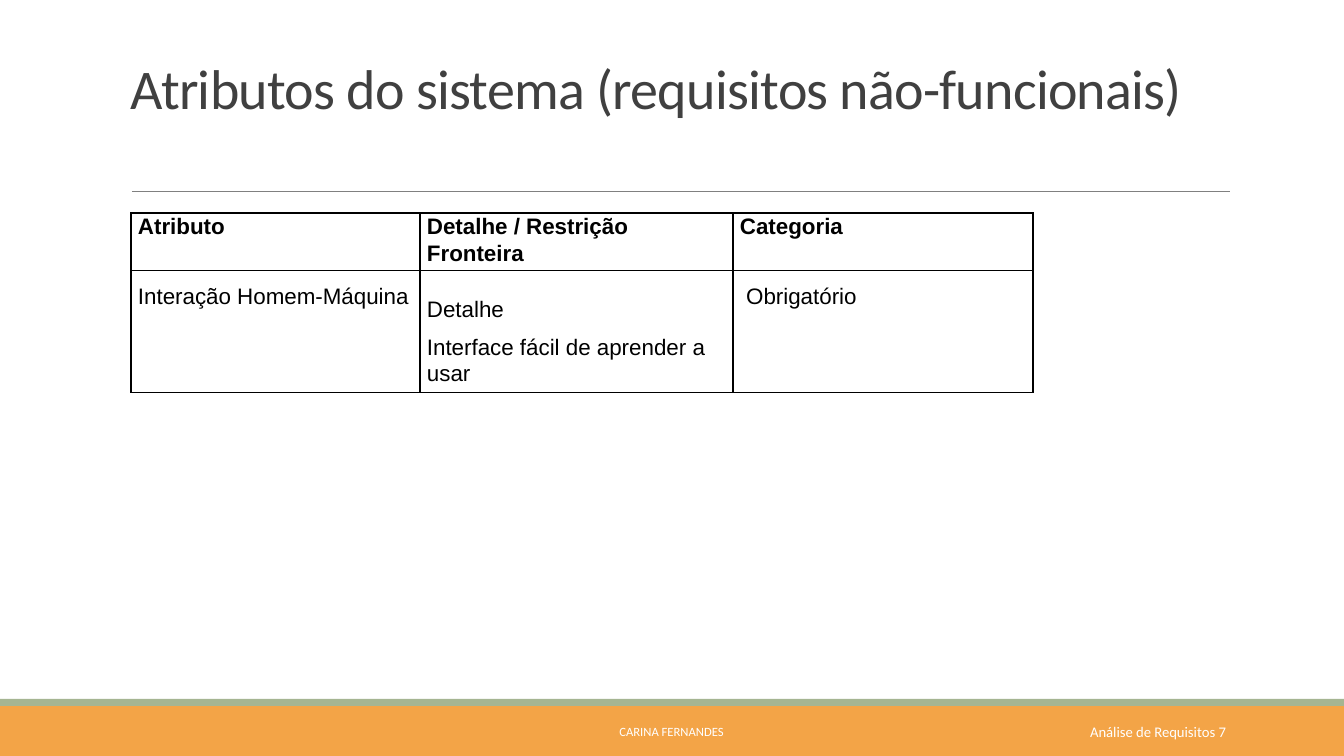
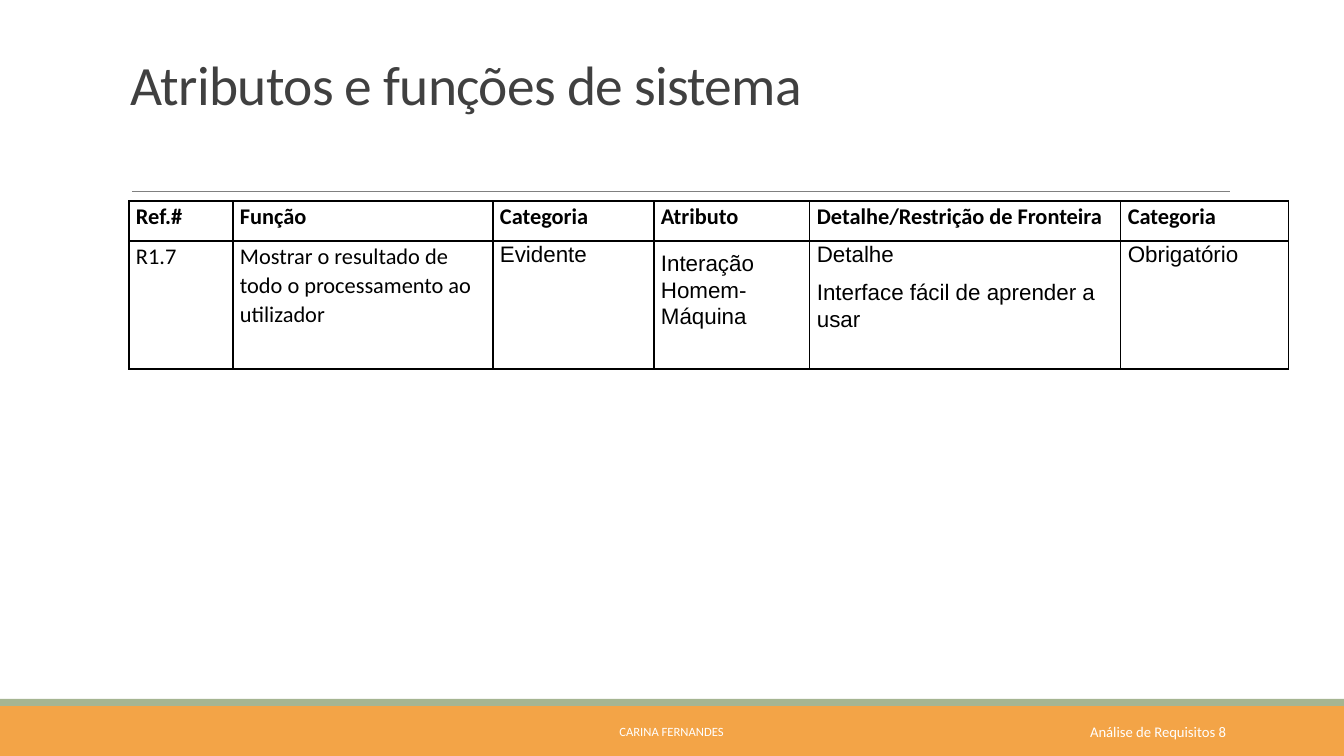
from pptx import Presentation
from pptx import util as u
from pptx.dml.color import RGBColor
from pptx.enum import shapes, text
from pptx.oxml import parse_xml
from pptx.oxml.ns import nsdecls, qn
from lxml import etree

SCALE = 914400 / 100.8
COLORS = {"orange": "F3A447", "green": "A5B592", "rule": "808080",
          "title": "404040", "ink": "000000", "white": "FFFFFF"}
BANDS = [("orange", 706, 50), ("green", 699, 7)]
AUTHOR = "CARINA FERNANDES"

PAGES = [
    {
        "title": "Atributos do sistema (requisitos não-funcionais)",
        "title_size": 40, "title_gap": 70,
        "left": 131, "top": 213, "columns": [289, 313, 300], "rows": [53, 117],
        "header_font": "Arial",
        "header": ["Atributo", "Detalhe / Restrição Fronteira", "Categoria"],
        "body": [("Interação Homem-Máquina", "Arial", 12),
                 ("Detalhe\nInterface fácil de aprender a usar", "Arial", 25),
                 ("\u00a0Obrigatório", "Arial", 12)],
        "footer": "Análise de Requisitos 7",
    },
    {
        "title": "Atributos e funções de sistema",
        "title_size": 39.6, "title_gap": 74,
        "left": 129, "top": 201, "columns": [104, 260, 161, 156, 311, 168],
        "rows": [40, 128],
        "header_font": "Calibri",
        "header": ["Ref.#", "Função", "Categoria", "Atributo",
                   "Detalhe/Restrição de Fronteira", "Categoria"],
        "body": [("R1.7", "Calibri", 0),
                 ("Mostrar o resultado de todo o processamento ao utilizador", "Calibri", 0),
                 ("Evidente", "Arial", 0),
                 ("Interação Homem-Máquina", "Arial", 9),
                 ("Detalhe\nInterface fácil de aprender a usar", "Arial", 0),
                 ("Obrigatório", "Arial", 0)],
        "footer": "Análise de Requisitos 8",
    },
]


def px(*values):
    return [u.Emu(round(value * SCALE)) for value in values]


def style(para, size, color, font="Calibri", bold=False):
    para.font.size = u.Pt(size)
    para.font.name = font
    para.font.bold = bold
    para.font.color.rgb = RGBColor.from_string(COLORS[color])


deck = Presentation()
deck.slide_width, deck.slide_height = px(1344, 756)

for content in PAGES:
    page = deck.slides.add_slide(deck.slide_layouts[6])

    for color, top, height in BANDS:
        band = page.shapes.add_shape(shapes.MSO_SHAPE.RECTANGLE, *px(0, top, 1344, height))
        band.shadow.inherit = False
        band.fill.solid()
        band.fill.fore_color.rgb = RGBColor.from_string(COLORS[color])
        band.line.fill.background()

    rule = page.shapes.add_connector(shapes.MSO_CONNECTOR.STRAIGHT, *px(132, 191, 1230, 191))
    rule.line.width = u.Pt(0.5)
    rule.line.color.rgb = RGBColor.from_string(COLORS["rule"])
    etree.SubElement(rule._element.spPr, qn("a:effectLst"))

    title = page.shapes.add_textbox(*px(121, 31, 1109, 160)).text_frame
    title.word_wrap = True
    title.vertical_anchor = text.MSO_ANCHOR.BOTTOM
    title.margin_bottom = px(content["title_gap"])[0]
    para = title.paragraphs[0]
    para.text = content["title"]
    para.line_spacing = 0.85
    style(para, content["title_size"], "title")
    para._p.get_or_add_pPr().get_or_add_defRPr().set("spc", "-50")

    columns, rows = content["columns"], content["rows"]
    table = page.shapes.add_table(
        len(rows), len(columns),
        *px(content["left"], content["top"], sum(columns), sum(rows))).table
    table.first_row = False
    table.horz_banding = False
    for column, width in zip(table.columns, px(*columns)):
        column.width = width
    for row, height in zip(table.rows, px(*rows)):
        row.height = height

    header = [(label, content["header_font"], 0) for label in content["header"]]
    for row_index, entries in enumerate([header, content["body"]]):
        for column_index, (wording, font, inset) in enumerate(entries):
            cell = table.cell(row_index, column_index)
            cell.margin_left, cell.margin_top, cell.margin_right, cell.margin_bottom = px(7, inset, 7, 0)
            cell.text = wording
            for para in cell.text_frame.paragraphs:
                para.line_spacing = 1.07
                para.space_after = u.Pt(8)
                style(para, 16, "ink", font, row_index == 0)
            for side in "LRTB":
                cell._tc.get_or_add_tcPr().append(parse_xml(
                    f'<a:ln{side} {nsdecls("a")} w="12700"><a:solidFill>'
                    f'<a:srgbClr val="{COLORS["ink"]}"/></a:solidFill></a:ln{side}>'))
            cell.fill.background()

    for wording, left, width, size, align in [
            (AUTHOR, 406, 531, 9, text.PP_ALIGN.CENTER),
            (content["footer"], 962, 274, 10.5, text.PP_ALIGN.RIGHT)]:
        footer = page.shapes.add_textbox(*px(left, 712, width, 40)).text_frame
        footer.word_wrap = True
        footer.vertical_anchor = text.MSO_ANCHOR.MIDDLE
        para = footer.paragraphs[0]
        para.text = wording
        para.alignment = align
        style(para, size, "white")

deck.save("out.pptx")
